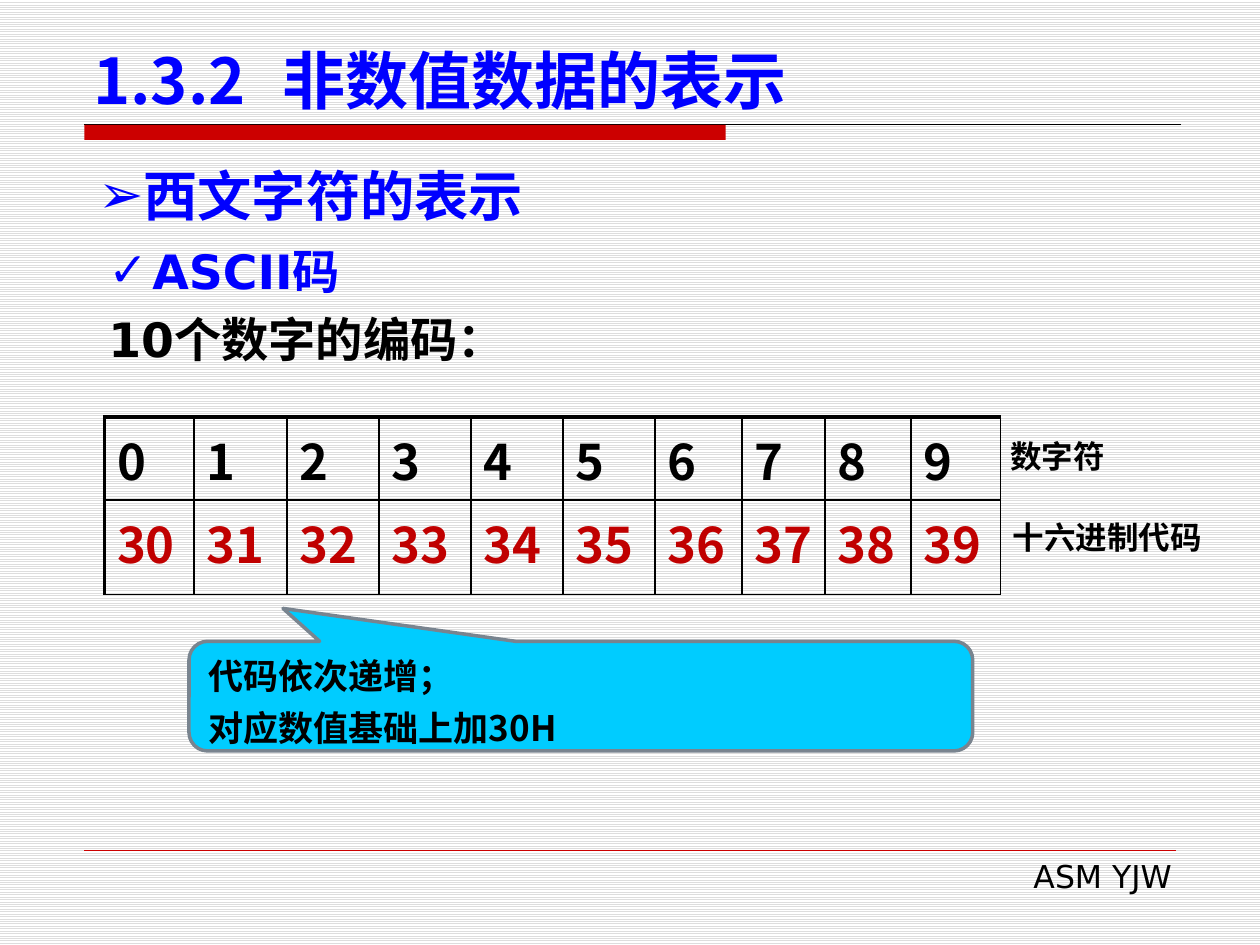
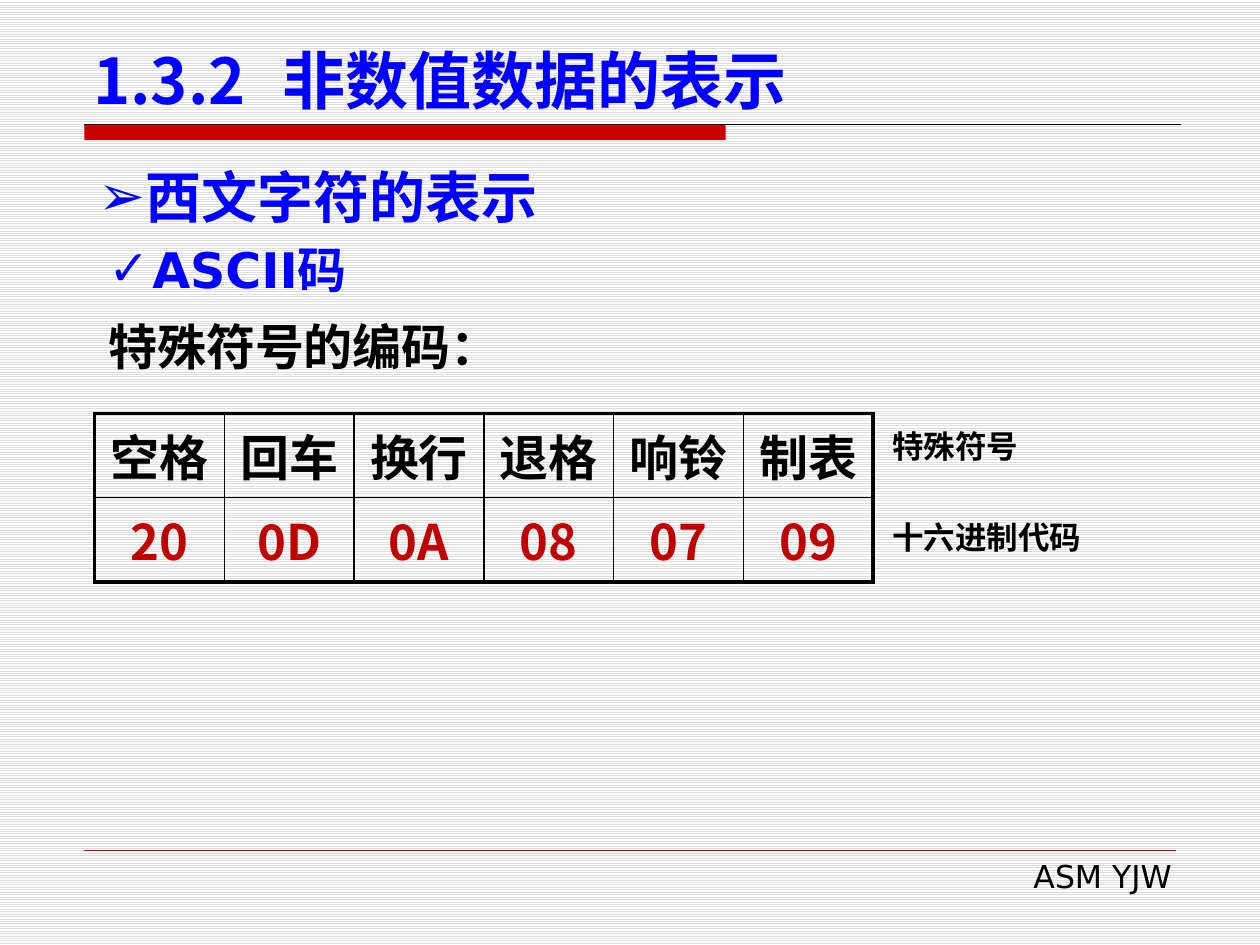
from dataclasses import dataclass

from lxml.etree import SubElement
from pptx import Presentation
from pptx.dml.color import RGBColor
from pptx.enum.dml import MSO_PATTERN
from pptx.enum.shapes import MSO_CONNECTOR, MSO_SHAPE
from pptx.enum.text import MSO_ANCHOR, PP_ALIGN
from pptx.oxml.ns import qn
from pptx.util import Inches, Pt


@dataclass(frozen=True)
class Theme:
    blue: str = "0000FF"
    black: str = "000000"
    red: str = "CC0000"
    code_red: str = "C00000"
    cyan: str = "00CCFF"
    grey: str = "79848F"
    stripe: str = "DDDDDD"
    white: str = "FFFFFF"
    latin: str = "DejaVu Sans"
    chinese: str = "Noto Sans CJK SC"
    title: int = 36
    cell: int = 28
    note: int = 20
    label: int = 18
    thin: float = 1
    heavy: float = 2.25


THEME = Theme()


def rgb(colour):
    return RGBColor.from_string(colour)


def write(paragraph, text, *, size, font=THEME.latin, colour=THEME.black, bold=True,
          align=None, before=None, leading=None, bullet=None, hang=0, tab=None):
    """Fill one paragraph with formatted text."""
    properties = paragraph._p.get_or_add_pPr()
    properties.set("marL", str(Inches(hang)))
    properties.set("indent", str(Inches(-hang)))
    if bullet:
        SubElement(properties, qn("a:buFont")).set("typeface", THEME.latin)
        SubElement(properties, qn("a:buChar")).set("char", bullet)
    if tab:
        stop = SubElement(SubElement(properties, qn("a:tabLst")), qn("a:tab"))
        stop.set("pos", str(Inches(tab)))
        stop.set("algn", "l")
    paragraph.alignment = align
    if before:
        paragraph.space_before = Pt(before)
    if leading:
        paragraph.line_spacing = Pt(leading)
    run = paragraph.add_run()
    run.text = text
    run.font.size, run.font.bold, run.font.name = Pt(size), bold, font
    run.font.color.rgb = rgb(colour)
    SubElement(run._r.get_or_add_rPr(), qn("a:ea")).set("typeface", THEME.chinese)


class Deck:
    def __init__(self, theme):
        self.theme = theme
        self.presentation = Presentation()
        self.presentation.slide_width = Inches(10)
        self.presentation.slide_height = Inches(7.5)
        self.slide = None

    def new_slide(self, title):
        """Start a slide with the shared background, title, band and footer."""
        theme = self.theme
        self.slide = self.presentation.slides.add_slide(self.presentation.slide_layouts[6])
        backdrop = self.slide.background.fill
        backdrop.patterned()
        backdrop.pattern = MSO_PATTERN.LIGHT_HORIZONTAL
        backdrop.fore_color.rgb = rgb(theme.stripe)
        backdrop.back_color.rgb = rgb(theme.white)

        # Title rule and red band
        self.line(0.67, 9.37, 0.99, theme.black, 0.75)
        band = self.shape(MSO_SHAPE.RECTANGLE, 0.67, 0.99, 5.09, 0.12, theme.red)
        band.line.fill.background()

        # Footer
        self.line(0.67, 9.33, 6.75, theme.red, 0.25)
        self.text(3.82, 6.74, 5.59, 0.42, "ASM YJW", size=theme.label, bold=False,
                  align=PP_ALIGN.RIGHT)

        self.text(0.63, 0.33, 8.75, 0.66, title, anchor=MSO_ANCHOR.BOTTOM, tab=1.55,
                  size=theme.title, font=theme.chinese, colour=theme.blue)

    def line(self, left, right, top, colour, width):
        rule = self.slide.shapes.add_connector(
            MSO_CONNECTOR.STRAIGHT, Inches(left), Inches(top), Inches(right), Inches(top))
        rule.line.color.rgb, rule.line.width = rgb(colour), Pt(width)
        SubElement(rule._element.spPr, qn("a:effectLst"))

    def shape(self, kind, left, top, width, height, fill):
        shape = self.slide.shapes.add_shape(
            kind, Inches(left), Inches(top), Inches(width), Inches(height))
        shape.shadow.inherit = False
        shape.fill.solid()
        shape.fill.fore_color.rgb = rgb(fill)
        return shape

    def frame(self, holder, anchor):
        """Set the shared insets and return the text frame."""
        frame = holder.text_frame
        frame.word_wrap, frame.vertical_anchor = True, anchor
        frame.margin_left = frame.margin_right = Inches(0.11)
        frame.margin_top = frame.margin_bottom = Inches(0.06)
        return frame

    def text(self, left, top, width, height, text, anchor=MSO_ANCHOR.TOP, **style):
        box = self.slide.shapes.add_textbox(
            Inches(left), Inches(top), Inches(width), Inches(height))
        frame = self.frame(box, anchor)
        write(frame.paragraphs[0], text, **style)
        return frame

    def headings(self, topic, subtopic, caption, topic_size, size, before, leading=None):
        theme = self.theme
        frame = self.text(0.75, 1.86, 8.66, 1.2, subtopic, size=size, colour=theme.blue,
                          bullet="✓", hang=0.35, leading=leading)
        write(frame.add_paragraph(), caption, size=size, before=before, leading=leading)
        self.text(0.67, 1.23, 8.66, 0.65, topic, size=topic_size, colour=theme.blue,
                  bullet="➢", align=PP_ALIGN.JUSTIFY)

    def code_table(self, left, top, widths, heights, rows, heavy_sides, align=None):
        """Draw characters over red codes; heavy_sides names the thick outer edges."""
        theme = self.theme
        table = self.slide.shapes.add_table(
            len(rows), len(widths), Inches(left), Inches(top),
            Inches(sum(widths)), Inches(sum(heights))).table
        table.first_row = table.horz_banding = False
        for column, width in zip(table.columns, widths):
            column.width = Inches(width)
        for row, height in zip(table.rows, heights):
            row.height = Inches(height)
        for r, (values, colour) in enumerate(zip(rows, (theme.black, theme.code_red))):
            for c, value in enumerate(values):
                cell = table.cell(r, c)
                outer = {"L": c == 0, "R": c == len(widths) - 1,
                         "T": r == 0, "B": r == len(rows) - 1}
                for side, is_outer in outer.items():
                    heavy = is_outer and side in heavy_sides
                    self.border(cell, side, theme.heavy if heavy else theme.thin)
                cell.fill.background()
                write(cell.text_frame.paragraphs[0], value, size=theme.cell,
                      font=theme.chinese, colour=colour, align=align)

    def border(self, cell, side, width):
        edge = SubElement(cell._tc.get_or_add_tcPr(), qn(f"a:ln{side}"))
        edge.set("w", str(Pt(width)))
        fill = SubElement(edge, qn("a:solidFill"))
        SubElement(fill, qn("a:srgbClr")).set("val", self.theme.black)

    def row_label(self, left, top, text):
        self.text(left, top, 1.97, 0.42, text, size=self.theme.label)

    def callout(self, left, top, width, height, lines, adjustments):
        theme = self.theme
        bubble = self.shape(MSO_SHAPE.ROUNDED_RECTANGULAR_CALLOUT,
                            left, top, width, height, theme.cyan)
        bubble.line.color.rgb, bubble.line.width = rgb(theme.grey), Pt(2)
        for index, value in enumerate(adjustments):
            bubble.adjustments[index] = value
        frame = self.frame(bubble, MSO_ANCHOR.MIDDLE)
        for index, line in enumerate(lines):
            paragraph = frame.add_paragraph() if index else frame.paragraphs[0]
            write(paragraph, line, size=theme.note, font=theme.chinese,
                  leading=30, align=PP_ALIGN.LEFT)


def main():
    deck = Deck(THEME)
    title, topic, subtopic = "1.3.2\t非数值数据的表示", "西文字符的表示", "ASCII码"
    code_label = "十六进制代码"

    # Digit codes
    deck.new_slide(title)
    deck.headings(topic, subtopic, "10个数字的编码：", topic_size=31, size=27, before=6.5)
    digits = [str(digit) for digit in range(10)]
    deck.code_table(0.83, 3.31,
                    [0.71, 0.74, 0.73, 0.73, 0.73, 0.73, 0.69, 0.66, 0.68, 0.71],
                    [0.66, 0.75], [digits, ["3" + digit for digit in digits]], "LT")
    deck.row_label(7.91, 3.41, "数字符")
    deck.row_label(7.93, 4.05, code_label)
    deck.callout(1.5, 5.09, 6.22, 0.87, ["代码依次递增；", "对应数值基础上加30H"],
                 (-0.38, -0.8, 0.17))

    # Special symbol codes
    deck.new_slide(title)
    deck.headings(topic, subtopic, "特殊符号的编码：", topic_size=32, size=28,
                  before=12, leading=32)
    symbols = {"空格": "20", "回车": "0D", "换行": "0A",
               "退格": "08", "响铃": "07", "制表": "09"}
    deck.code_table(0.75, 3.28, [1.03] * len(symbols), [0.67] * 2,
                    [symbols.keys(), symbols.values()], "LTRB", PP_ALIGN.CENTER)
    deck.row_label(6.97, 3.33, "特殊符号")
    deck.row_label(6.97, 4.05, code_label)

    deck.presentation.save("out.pptx")


if __name__ == "__main__":
    main()
